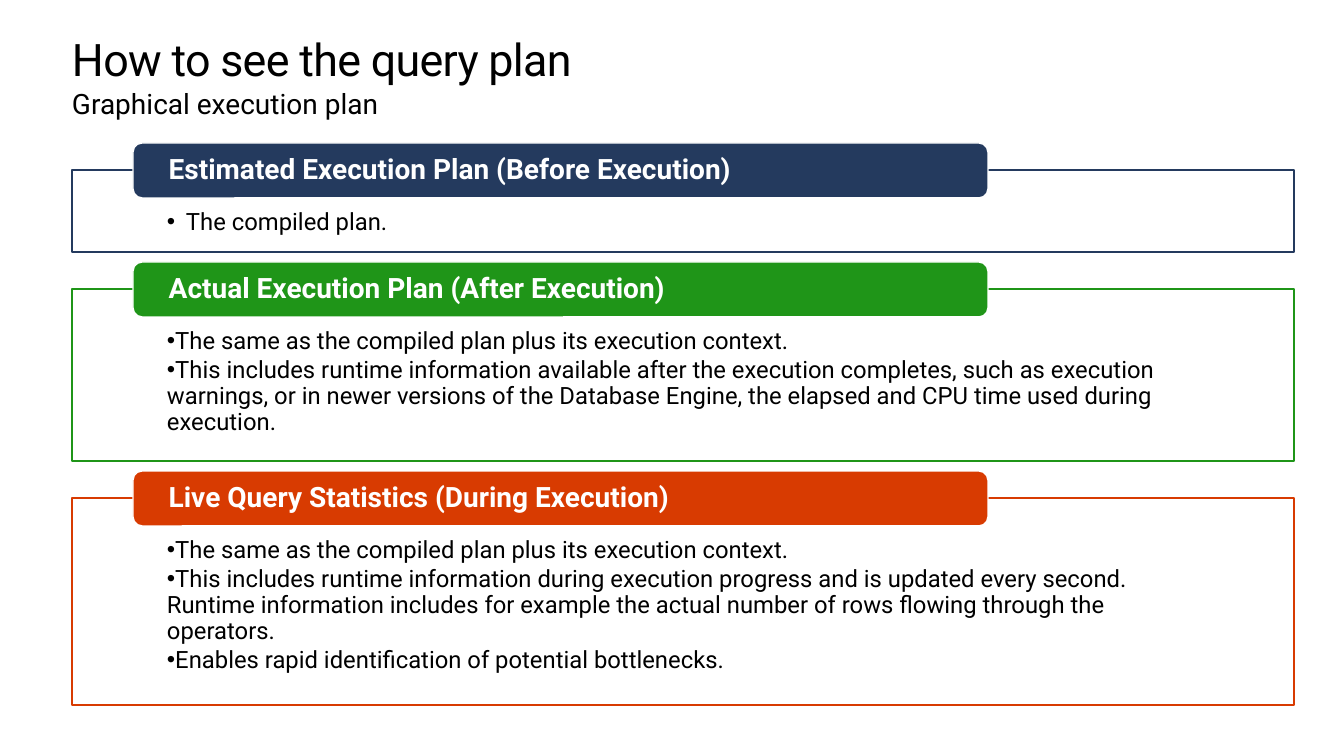
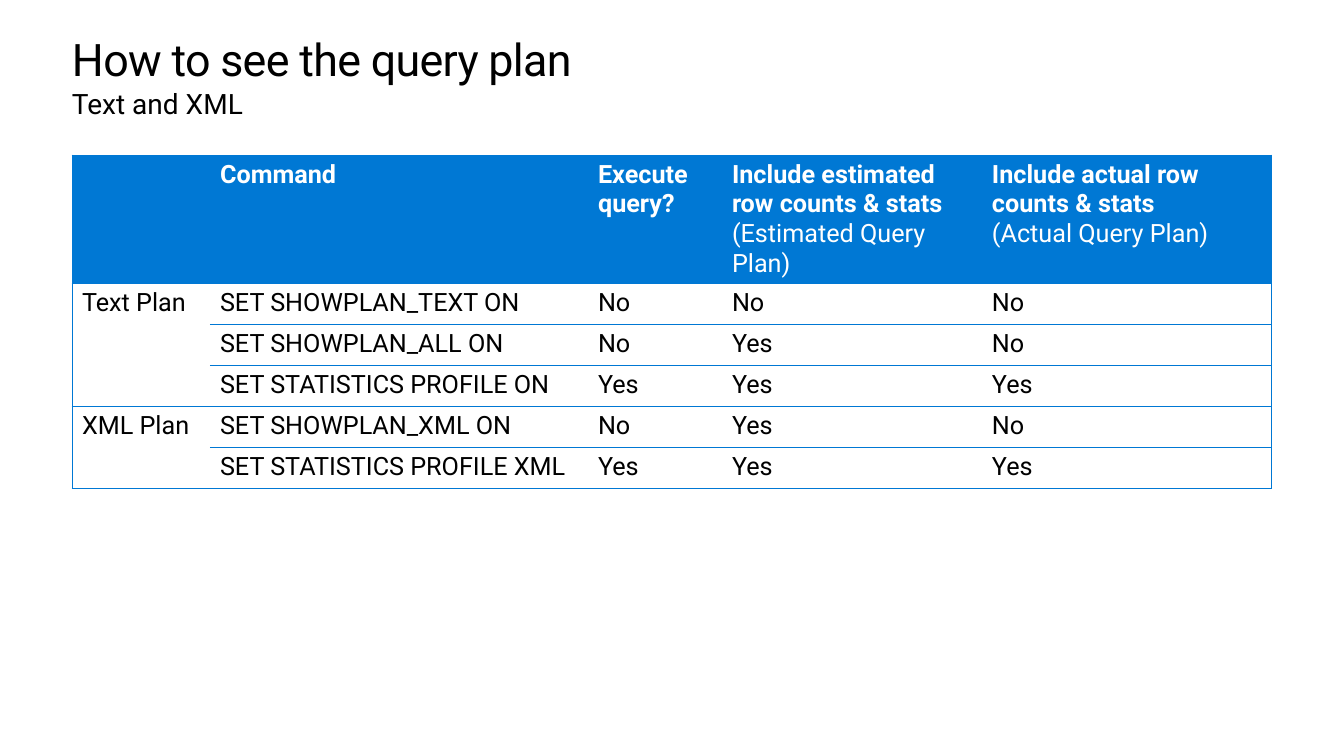
from lxml import etree
from pptx import Presentation
from pptx.dml.color import RGBColor
from pptx.enum import shapes, text
from pptx.oxml import ns
from pptx.util import Emu, Pt

FONT = "Roboto"
BLACK, WHITE, BLUE = "000000", "FFFFFF", "0078D4"
LEFT, WIDE = 72, 1200
PANELS = [
    ("Estimated Execution Plan (Before Execution)", "243A5E", 82, 19,
     ["The compiled plan."]),
    ("Actual Execution Plan (After Execution)", "1F9518", 172, 0,
     ["The same as the compiled plan plus its execution context.",
      "This includes runtime information available after the execution completes, "
      "such as execution warnings, or in newer versions of the Database Engine, "
      "the elapsed and CPU time used during execution."]),
    ("Live Query Statistics (During Execution)", "D83B01", 207, 0,
     ["The same as the compiled plan plus its execution context.",
      "This includes runtime information during execution progress and is updated "
      "every second. Runtime information includes for example the actual number of "
      "rows flowing through the operators.",
      "Enables rapid identification of potential bottlenecks."]),
]
COLS = [138, 378, 134, 260, 289]
ROWS = [
    ["", "Command", "Execute query?",
     "Include estimated row counts & stats\n(Estimated Query Plan)",
     "Include actual row counts & stats\n(Actual Query Plan)"],
    ["Text Plan", "SET SHOWPLAN_TEXT ON", "No", "No", "No"],
    ["", "SET SHOWPLAN_ALL ON", "No", "Yes", "No"],
    ["", "SET STATISTICS PROFILE ON", "Yes", "Yes", "Yes"],
    ["XML Plan", "SET SHOWPLAN_XML ON", "No", "Yes", "No"],
    ["", "SET STATISTICS PROFILE XML", "Yes", "Yes", "Yes"],
]
SPANS = [(1, 3), (4, 5)]
PLAIN = "{2D5ABB26-0587-4C30-8999-92F81FD0307C}"


def px(n):
    """Turn pixels into EMU."""
    return Emu(round(n * 914400 / 100.8))


def rgb(code):
    """Turn a hex string into a colour."""
    return RGBColor.from_string(code)


def paint(part, color):
    """Fill a shape or cell with one colour."""
    part.fill.solid()
    part.fill.fore_color.rgb = rgb(color)


def style(para, size, color, bold=False):
    """Format every run of a paragraph."""
    para.alignment = text.PP_ALIGN.LEFT
    for run in para.runs:
        font = run.font
        font.name, font.size, font.bold = FONT, Pt(size), bold
        font.color.rgb = rgb(color)


def inset(frame, left, top, right, low):
    """Set the margins of a wrapping text frame."""
    frame.word_wrap = True
    frame.margin_left, frame.margin_top = px(left), px(top)
    frame.margin_right, frame.margin_bottom = px(right), px(low)


def head(holder, words, top, size):
    """Place one heading placeholder."""
    holder.left, holder.top = px(LEFT), px(top)
    holder.width, holder.height = px(WIDE), px(50)
    frame = holder.text_frame
    frame.text = words
    inset(frame, 0, 0, 0, 0)
    frame.auto_size = text.MSO_AUTO_SIZE.NONE
    frame.vertical_anchor = text.MSO_ANCHOR.TOP
    para = frame.paragraphs[0]
    para.space_before = Pt(0)
    style(para, size, BLACK)
    return para


def start(deck, sub):
    """Add a slide with the shared title and its own subtitle."""
    slide = deck.slides.add_slide(deck.slide_layouts[0])
    title = slide.shapes.title
    para = head(title, "How to see the query plan", 35, 32)
    paint(title, WHITE)
    para.line_spacing = Pt(36.2)
    para.runs[0].font._element.set("spc", "-50")
    head(slide.placeholders[1], sub, 86, 20)
    return slide


def block(slide, kind, box, fill, line):
    """Add a filled and outlined shape."""
    shape = slide.shapes.add_shape(kind, *map(px, box))
    shape.shadow.inherit = False
    paint(shape, fill)
    shape.line.color.rgb = rgb(line)
    shape.line.width = Pt(1)
    return shape


def bullet(para, hang):
    """Give a paragraph a bullet with a hanging indent."""
    props = para._p.get_or_add_pPr()
    props.set("marL", str(px(hang)))
    props.set("indent", str(px(-hang)))
    etree.SubElement(props, ns.qn("a:buFont")).set("typeface", "Arial")
    etree.SubElement(props, ns.qn("a:buChar")).set("char", "•")


def panel(slide, x, y, w, h, name, color, hang, items):
    """Draw a bulleted box whose heading tab sits across its top edge."""
    kind = shapes.MSO_SHAPE
    body = block(slide, kind.RECTANGLE, (x, y, w, h), WHITE, color).text_frame
    body.text = "\n".join(items)
    body.vertical_anchor = text.MSO_ANCHOR.TOP
    inset(body, 95, 40, 95, 13)
    for para in body.paragraphs:
        bullet(para, hang)
        para.line_spacing, para.space_after = 0.9, Pt(2.5)
        style(para, 17, BLACK)
    tab = block(slide, kind.ROUNDED_RECTANGLE, (x + 61, y - 27, 855, 55), color, WHITE)
    frame = tab.text_frame
    frame.text = name
    frame.vertical_anchor = text.MSO_ANCHOR.MIDDLE
    inset(frame, 33, 0, 32, 0)
    frame.paragraphs[0].line_spacing = 0.9
    style(frame.paragraphs[0], 20, WHITE, True)


def edge(cell, sides):
    """Draw thin blue borders on the given sides of a cell."""
    props = cell._tc.get_or_add_tcPr()
    for i, side in enumerate(sides):
        line = etree.Element(ns.qn("a:ln" + side), w=str(Pt(0.5)))
        fill = etree.SubElement(line, ns.qn("a:solidFill"))
        etree.SubElement(fill, ns.qn("a:srgbClr")).set("val", BLUE)
        props.insert(i, line)


def grid(slide, x, y):
    """Draw the table of commands."""
    high = [128] + [41] * (len(ROWS) - 1)
    box = map(px, (x, y, sum(COLS), sum(high)))
    table = slide.shapes.add_table(len(ROWS), len(COLS), *box).table
    table._tbl.tblPr.find(ns.qn("a:tableStyleId")).text = PLAIN
    table.horz_banding = False
    for col, w in zip(table.columns, COLS):
        col.width = px(w)
    for row, h in zip(table.rows, high):
        row.height = px(h)
    for top, low in SPANS:
        table.cell(top, 0).merge(table.cell(low, 0))
    for r, row in enumerate(ROWS):
        for c, words in enumerate(row):
            cell = table.cell(r, c)
            cell.text_frame.text = words
            for i, para in enumerate(cell.text_frame.paragraphs):
                style(para, 18, BLACK if r else WHITE, not r and not i)
            if r:
                cell.fill.background()
            else:
                paint(cell, BLUE)
            rule = {"L": c == 0, "R": c == len(COLS) - 1,
                    "T": not cell.is_spanned,
                    "B": cell.is_merge_origin or r == len(ROWS) - 1}
            edge(cell, [side for side, on in rule.items() if on])


def main():
    """Build and save both slides."""
    deck = Presentation()
    deck.slide_width, deck.slide_height = px(1344), px(756)
    slide = start(deck, "Graphical execution plan")
    y = 170
    for name, color, h, hang, items in PANELS:
        panel(slide, LEFT, y, 1222, h, name, color, hang, items)
        y += h + 37
    grid(start(deck, "Text and XML"), LEFT, 155)
    deck.save("out.pptx")


if __name__ == "__main__":
    main()
